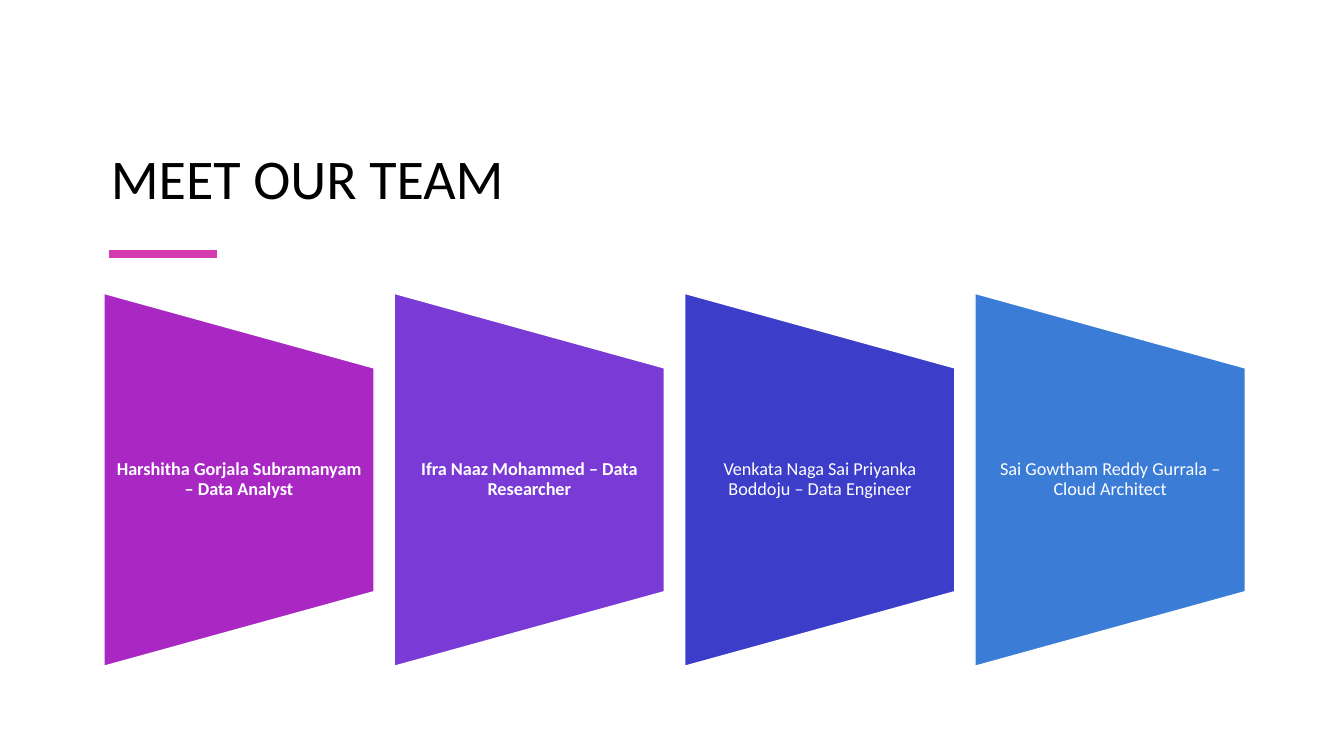
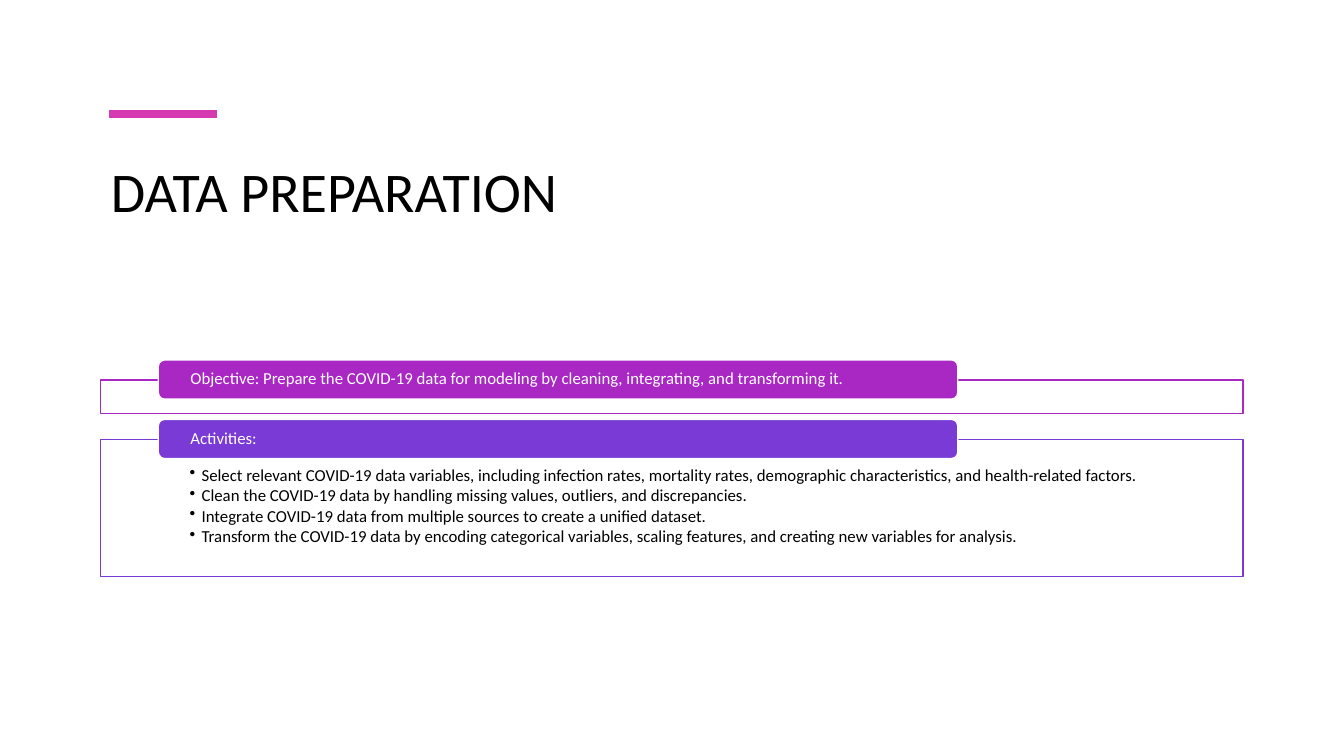
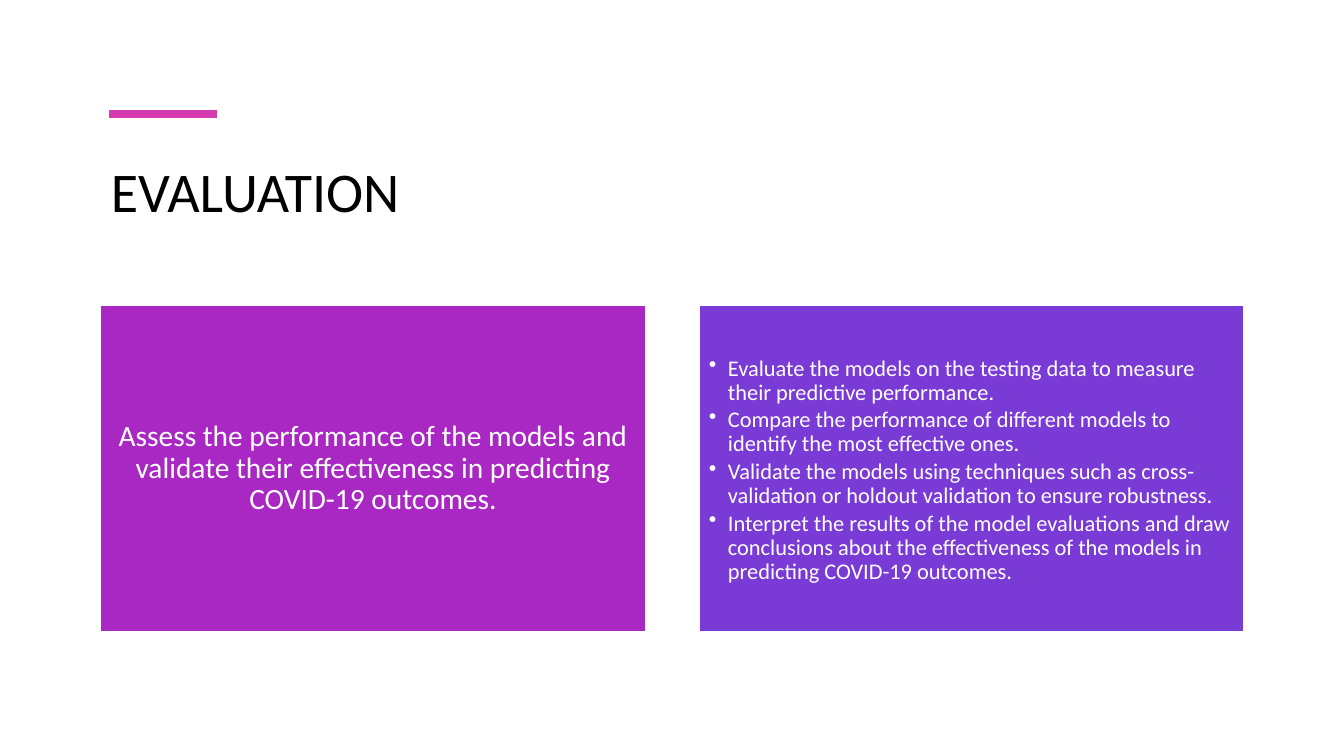
from dataclasses import dataclass

import lxml.etree
import pptx
import pptx.dml.color
import pptx.enum.shapes
import pptx.enum.text
import pptx.oxml.ns
import pptx.util

Inches = pptx.util.Inches
Pt = pptx.util.Pt
Shape = pptx.enum.shapes.MSO_SHAPE
Anchor = pptx.enum.text.MSO_ANCHOR
Align = pptx.enum.text.PP_ALIGN


@dataclass(frozen=True)
class Theme:
    font: str = "Calibri"
    black: str = "000000"
    white: str = "FFFFFF"
    pink: str = "D63AB0"
    magenta: str = "A928C4"
    violet: str = "7A3AD6"
    indigo: str = "3C3DC9"
    blue: str = "3A7CD6"
    title_size: int = 40
    statement_size: int = 21
    points_size: int = 16
    member_size: int = 13
    detail_size: int = 12
    line_spacing: float = 0.9
    outline: float = 1
    accent: float = 6


THEME = Theme()
TITLE_ONLY = 5


def rgb(color):
    return pptx.dml.color.RGBColor.from_string(color)


def set_attributes(target, values):
    for name, value in values.items():
        setattr(target, name, value)


def set_font(para, size, color, bold=False):
    set_attributes(para.font, {"name": THEME.font, "size": Pt(size), "bold": bold})
    para.font.color.rgb = rgb(color)


def add_bullet(para, indent):
    properties = para._p.get_or_add_pPr()
    properties.set("marL", str(Inches(indent)))
    properties.set("indent", str(-Inches(indent)))
    bullet = lxml.etree.SubElement(properties, pptx.oxml.ns.qn("a:buChar"))
    bullet.set("char", "•")


def set_frame(box, anchor, insets):
    frame = box.text_frame
    left, top, right, bottom = map(Inches, insets)
    set_attributes(frame, {
        "word_wrap": True,
        "auto_size": pptx.enum.text.MSO_AUTO_SIZE.NONE,
        "vertical_anchor": anchor,
        "margin_left": left,
        "margin_top": top,
        "margin_right": right,
        "margin_bottom": bottom,
    })
    return frame


def write_text(box, text, size, insets, align=Align.LEFT, bold=False):
    para = set_frame(box, Anchor.MIDDLE, insets).paragraphs[0]
    para.text = text
    set_attributes(para, {"alignment": align, "line_spacing": THEME.line_spacing})
    set_font(para, size, THEME.white, bold)


def write_bullets(box, items, size, color, insets, indent, gap):
    frame = set_frame(box, Anchor.TOP, insets)
    for index, item in enumerate(items):
        para = frame.paragraphs[0] if index == 0 else frame.add_paragraph()
        para.text = item
        set_attributes(para, {
            "alignment": Align.LEFT,
            "line_spacing": THEME.line_spacing,
            "space_after": Pt(gap),
        })
        add_bullet(para, indent)
        set_font(para, size, color)


def add_panel(page, kind, place, fill, line=THEME.white):
    panel = page.shapes.add_shape(kind, *map(Inches, place))
    panel.shadow.inherit = False
    panel.fill.solid()
    panel.fill.fore_color.rgb = rgb(fill)
    panel.line.color.rgb = rgb(line)
    panel.line.width = Pt(THEME.outline)
    return panel


def add_accent(page, top):
    bar = page.shapes.add_connector(
        pptx.enum.shapes.MSO_CONNECTOR.STRAIGHT,
        Inches(1.08), Inches(top), Inches(2.15), Inches(top))
    bar.line.color.rgb = rgb(THEME.pink)
    bar.line.width = Pt(THEME.accent)
    lxml.etree.SubElement(bar._element.spPr, pptx.oxml.ns.qn("a:effectLst"))


def add_page(deck, title, place=(1, 1.5, 11.33, 1.3), anchor=Anchor.TOP, accent_top=1.13):
    page = deck.slides.add_slide(deck.slide_layouts[TITLE_ONLY])
    box = page.shapes.title
    set_attributes(box, dict(zip(("left", "top", "width", "height"), map(Inches, place))))
    para = set_frame(box, anchor, (0.1, 0.05, 0.1, 0.05)).paragraphs[0]
    para.text = title
    para.alignment = Align.LEFT
    set_font(para, THEME.title_size, THEME.black)
    add_accent(page, accent_top)
    return page


def add_member(page, center, text, color, bold):
    middle, length, width, text_height = 4.76, 3.7, 2.68, 2.22
    banner = add_panel(
        page, Shape.FLOWCHART_MANUAL_OPERATION,
        (center - length / 2, middle - width / 2, length, width), color)
    banner.rotation = 270
    label = page.shapes.add_textbox(*map(Inches, (
        center - width / 2, middle - text_height / 2, width, text_height)))
    write_text(label, text, THEME.member_size, (0.09, 0, 0.09, 0), Align.CENTER, bold)


def add_section(page, top, height, heading, color, items=()):
    frame = add_panel(page, Shape.RECTANGLE, (1, top, 11.33, height), THEME.white, color)
    if items:
        write_bullets(frame, items, THEME.detail_size, THEME.black,
                      (0.88, 0.27, 0.88, 0.09), 0.12, 1.7)
    label = add_panel(page, Shape.ROUNDED_RECTANGLE, (1.57, top - 0.2, 7.93, 0.39), color)
    write_text(label, heading, THEME.detail_size, (0.3, 0, 0.3, 0))


def build_team(deck):
    page = add_page(deck, "MEET OUR TEAM", (1, 0.62, 11.38, 1.52), Anchor.BOTTOM, 2.52)
    members = [
        ("Harshitha Gorjala Subramanyam – Data Analyst", THEME.magenta, True),
        ("Ifra Naaz Mohammed – Data Researcher", THEME.violet, True),
        ("Venkata Naga Sai Priyanka Boddoju – Data Engineer", THEME.indigo, False),
        ("Sai Gowtham Reddy Gurrala – Cloud Architect", THEME.blue, False),
    ]
    for index, member in enumerate(members):
        add_member(page, 2.37 + index * 2.88, *member)


def build_preparation(deck):
    page = add_page(deck, "DATA PREPARATION")
    add_section(
        page, 3.77, 0.33,
        "Objective: Prepare the COVID-19 data for modeling by cleaning, integrating, "
        "and transforming it.", THEME.magenta)
    add_section(page, 4.36, 1.36, "Activities:", THEME.violet, [
        "Select relevant COVID-19 data variables, including infection rates, mortality rates, "
        "demographic characteristics, and health-related factors.",
        "Clean the COVID-19 data by handling missing values, outliers, and discrepancies.",
        "Integrate COVID-19 data from multiple sources to create a unified dataset.",
        "Transform the COVID-19 data by encoding categorical variables, scaling features, "
        "and creating new variables for analysis.",
    ])


def build_evaluation(deck):
    page = add_page(deck, "EVALUATION")
    goal, steps = [
        add_panel(page, Shape.RECTANGLE, (left, 3.03, 5.4, 3.24), color)
        for left, color in ((1, THEME.magenta), (6.94, THEME.violet))
    ]
    write_text(
        goal,
        "Assess the performance of the models and validate their effectiveness "
        "in predicting COVID-19 outcomes.",
        THEME.statement_size, (0.09, 0.09, 0.09, 0.09), Align.CENTER)
    write_bullets(steps, [
        "Evaluate the models on the testing data to measure their predictive performance.",
        "Compare the performance of different models to identify the most effective ones.",
        "Validate the models using techniques such as cross-validation or holdout validation "
        "to ensure robustness.",
        "Interpret the results of the model evaluations and draw conclusions about the "
        "effectiveness of the models in predicting COVID-19 outcomes.",
    ], THEME.points_size, THEME.white, (0.09, 0.51, 0.09, 0.09), 0.19, 2.4)


def main():
    deck = pptx.Presentation()
    set_attributes(deck, {"slide_width": Inches(13.33), "slide_height": Inches(7.5)})
    build_team(deck)
    build_preparation(deck)
    build_evaluation(deck)
    deck.save("out.pptx")


if __name__ == "__main__":
    main()
